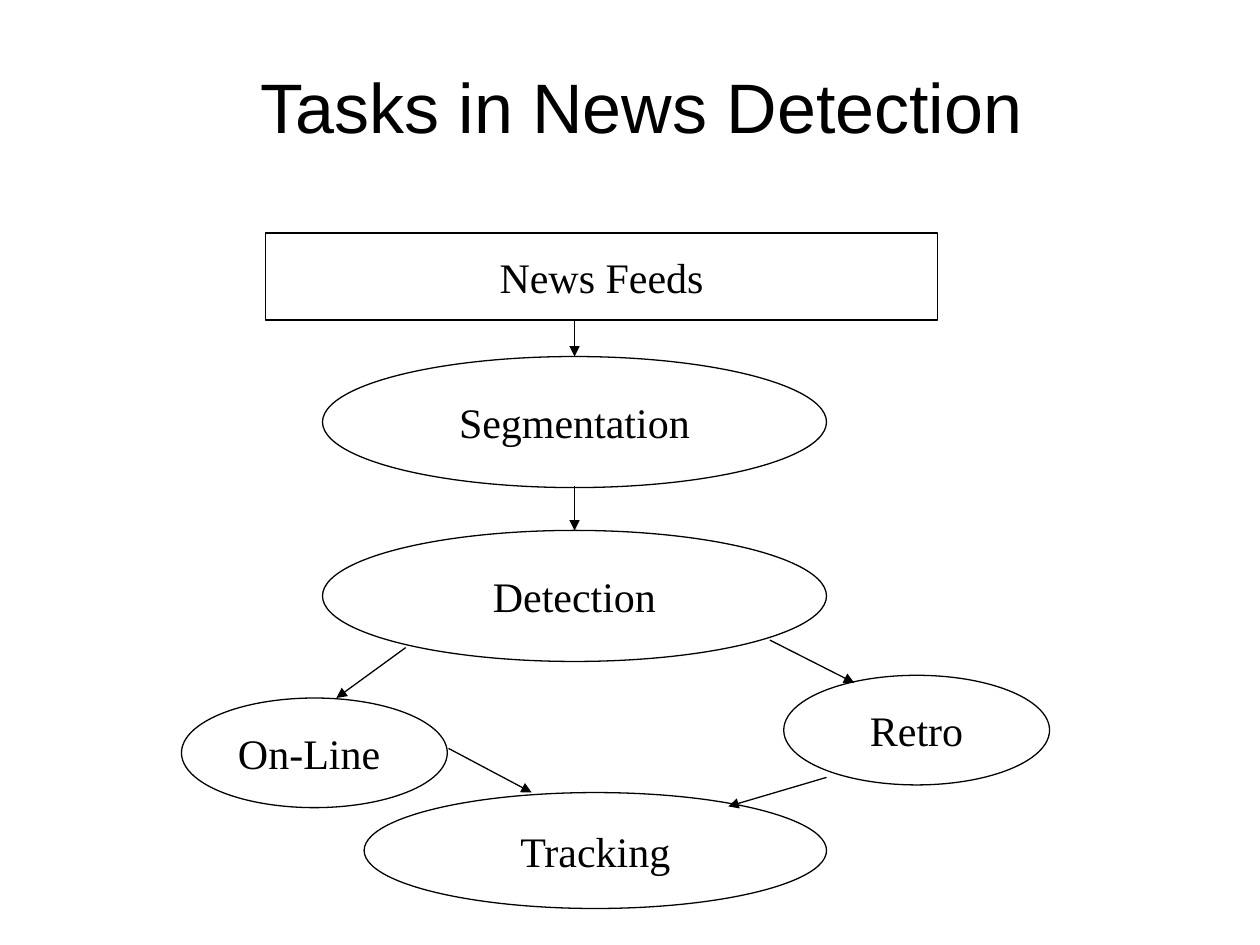
import pptx
import pptx.dml.color
import pptx.enum.shapes
import pptx.enum.text
import pptx.oxml.ns
import pptx.util
from lxml import etree

Inches = pptx.util.Inches
SHAPES = pptx.enum.shapes.MSO_SHAPE
BLACK = "000000"
LINE_WIDTH = 0.75

TITLE = ("Tasks in News Detection", (0.76, 0.4, 8.66, 0.87))

# text, preset, (left, top, width, height)
STEPS = [
    ("News Feeds", SHAPES.RECTANGLE, (2.11, 1.85, 5.33, 0.69)),
    ("Segmentation", SHAPES.OVAL, (2.56, 2.83, 4, 1.04)),
    ("Detection", SHAPES.OVAL, (2.56, 4.21, 4, 1.04)),
    ("On-Line ", SHAPES.OVAL, (1.44, 5.54, 2.11, 0.87)),
    ("Retro", SHAPES.OVAL, (6.22, 5.36, 2.11, 0.87)),
    ("Tracking", SHAPES.OVAL, (2.89, 6.29, 3.67, 0.92)),
]

# start x, start y, end x, end y
ARROWS = [
    (4.56, 2.54, 4.56, 2.83),
    (4.56, 3.86, 4.56, 4.21),
    (3.22, 5.14, 2.67, 5.54),
    (6.11, 5.08, 6.78, 5.42),
    (3.56, 5.94, 4.22, 6.29),
    (6.56, 6.17, 5.78, 6.4),
]


def color(value):
    return pptx.dml.color.RGBColor.from_string(value)


def set_line(line):
    line.color.rgb = color(BLACK)
    line.width = pptx.util.Pt(LINE_WIDTH)


def write_text(box, text, *, font, size, wrap):
    frame = box.text_frame
    frame.word_wrap = wrap
    frame.vertical_anchor = pptx.enum.text.MSO_ANCHOR.MIDDLE
    para = frame.paragraphs[0]
    para.alignment = pptx.enum.text.PP_ALIGN.CENTER
    span = para.add_run()
    span.text = text
    span.font.name = font
    span.font.size = pptx.util.Pt(size)
    span.font.color.rgb = color(BLACK)


def add_step(page, text, preset, place):
    step = page.shapes.add_shape(preset, *map(Inches, place))
    step.shadow.inherit = False
    step.fill.background()
    set_line(step.line)
    write_text(step, text, font="Times New Roman", size=24, wrap=False)


def add_arrow(page, ends):
    arrow = page.shapes.add_connector(
        pptx.enum.shapes.MSO_CONNECTOR.STRAIGHT, *map(Inches, ends))
    set_line(arrow.line)
    qn = pptx.oxml.ns.qn
    properties = arrow._element.spPr
    etree.SubElement(properties.find(qn("a:ln")), qn("a:tailEnd"), type="triangle")
    etree.SubElement(properties, qn("a:effectLst"))


def main():
    deck = pptx.Presentation()
    deck.slide_width, deck.slide_height = Inches(10), Inches(7.5)
    page = deck.slides.add_slide(deck.slide_layouts[6])

    text, place = TITLE
    title = page.shapes.add_textbox(*map(Inches, place))
    write_text(title, text, font="Arial", size=40, wrap=True)
    for step in STEPS:
        add_step(page, *step)
    for ends in ARROWS:
        add_arrow(page, ends)

    deck.save("out.pptx")


if __name__ == "__main__":
    main()
